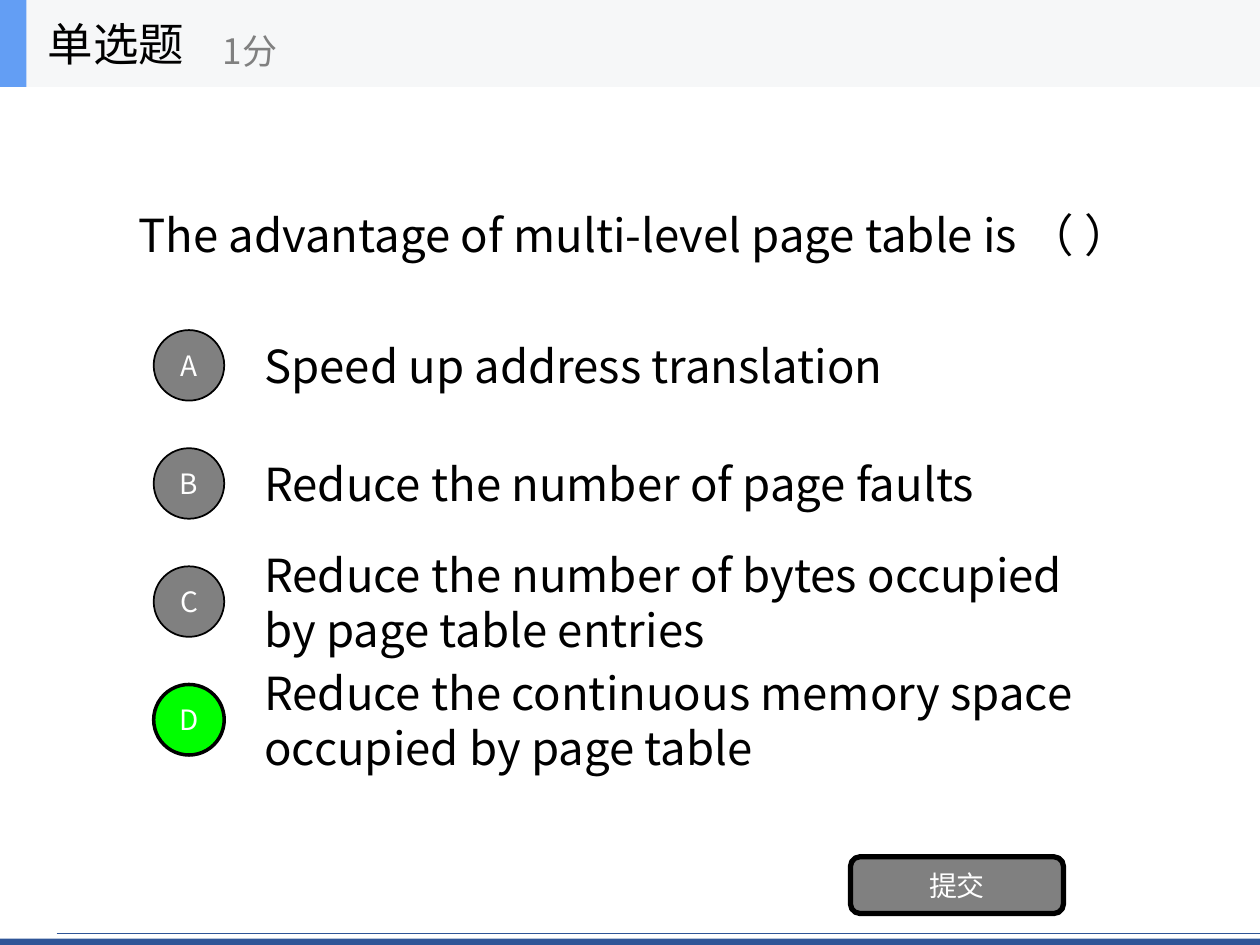
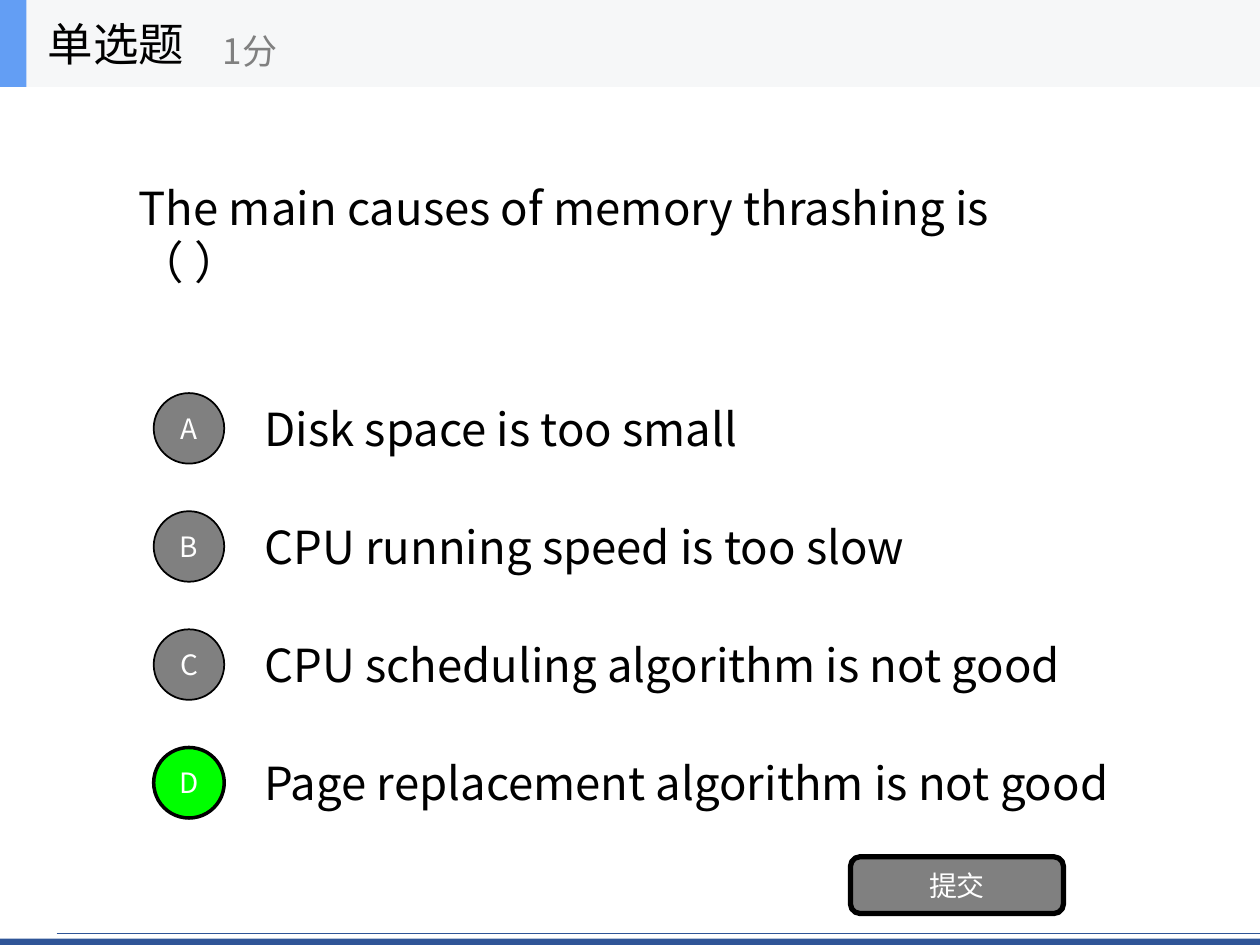
from dataclasses import dataclass

from pptx import Presentation
from pptx.dml.color import RGBColor
from pptx.enum import shapes as kinds, text as txt
from pptx.oxml import ns
from pptx.util import Inches, Pt
from lxml import etree


@dataclass(frozen=True)
class Theme:
    font: str = "Noto Sans CJK SC"
    ink: str = "000000"
    light: str = "FFFFFF"
    grey: str = "808080"
    correct: str = "00FF00"
    header: str = "F6F7F8"
    accent: str = "639EF4"
    rule: str = "2F5597"
    body_size: int = 26
    points_size: int = 20
    button_size: int = 16


THEME = Theme()
LEFT, CENTER = txt.PP_ALIGN.LEFT, txt.PP_ALIGN.CENTER
OPTION_STEP, OPTION_HEIGHT, BADGE = 0.9375, 0.7, 0.56

QUESTIONS = [
    {
        "question": "The advantage of multi-level page table is （ ）",
        "question_width": 8.37,
        "options": [
            "Speed up address translation",
            "Reduce the number of page faults",
            "Reduce the number of bytes occupied by page table entries",
            "Reduce the continuous memory space occupied by page table",
        ],
        "options_top": 2.55,
        "last_width": 7,
        "answer": "D",
    },
    {
        "question": "The main causes of memory thrashing is （ ）",
        "question_width": 7.6,
        "options": [
            "Disk space is too small",
            "CPU running speed is too slow",
            "CPU scheduling algorithm is not good",
            "Page replacement algorithm is not good",
        ],
        "options_top": 3.05,
        "last_width": 7.27,
        "answer": "D",
    },
]


def rgb(value):
    return RGBColor.from_string(value)


def inches(box):
    return [Inches(length) for length in box]


def write(shape, words, size=THEME.body_size, color=THEME.ink, align=LEFT):
    """Fill a shape with one middle-anchored paragraph."""
    frame = shape.text_frame
    settings = {
        "word_wrap": True,
        "auto_size": txt.MSO_AUTO_SIZE.NONE,
        "vertical_anchor": txt.MSO_ANCHOR.MIDDLE,
    }
    for name, value in settings.items():
        setattr(frame, name, value)
    paragraph = frame.paragraphs[0]
    paragraph.alignment = align
    run = paragraph.add_run()
    run.text = words
    run.font.size = Pt(size)
    run.font.color.rgb = rgb(color)
    run.font.name = THEME.font
    east_asian = etree.SubElement(run.font._element, ns.qn("a:ea"))
    east_asian.set("typeface", THEME.font)


def add_label(parts, box, words, **style):
    write(parts.add_textbox(*inches(box)), words, **style)


def add_block(parts, kind, box, fill, outline=0):
    block = parts.add_shape(kind, *inches(box))
    block.shadow.inherit = False
    block.fill.solid()
    block.fill.fore_color.rgb = rgb(fill)
    if outline:
        block.line.color.rgb = rgb(THEME.ink)
        block.line.width = Pt(outline)
    else:
        block.line.fill.background()
    return block


def add_button(parts, kind, box, words, fill, outline):
    button = add_block(parts, kind, box, fill, outline)
    write(button, words, THEME.button_size, THEME.light, CENTER)


def add_footer(slide, left, top, right, bottom):
    """Thin rule above a full-width band."""
    band_top = top + 0.04
    add_block(slide.shapes, kinds.MSO_SHAPE.RECTANGLE,
              (0, band_top, right, bottom - band_top), THEME.rule)
    rule = slide.shapes.add_connector(
        kinds.MSO_CONNECTOR.STRAIGHT, *inches((left, top, right, top)))
    rule.line.color.rgb = rgb(THEME.rule)
    rule.line.width = Pt(0.5)
    etree.SubElement(rule._element.spPr, ns.qn("a:effectLst"))


def add_header(slide, width, height):
    """Question type and its points on a tinted bar."""
    parts = slide.shapes.add_group_shape().shapes
    for bar_width, fill in ((width, THEME.header), (0.21, THEME.accent)):
        add_block(parts, kinds.MSO_SHAPE.RECTANGLE,
                  (0, 0, bar_width, height), fill)
    add_label(parts, (0.28, 0, 2.08, height), "单选题")
    add_label(parts, (1.67, 0.12, 2.5, height - 0.13), "1分",
              size=THEME.points_size, color=THEME.grey)


def add_options(slide, left, top, options, answer, last_width):
    """Lettered badges with their answers, the right one highlighted."""
    inset = (OPTION_HEIGHT - BADGE) / 2
    for index, (letter, option) in enumerate(zip("ABCD", options)):
        row_top = top + index * OPTION_STEP
        width = last_width if option == options[-1] else 7
        add_label(slide.shapes, (left + 0.78, row_top, width, OPTION_HEIGHT),
                  option)
        fill, outline = ((THEME.correct, 2) if letter == answer
                         else (THEME.grey, 1))
        add_button(slide.shapes, kinds.MSO_SHAPE.OVAL,
                   (left, row_top + inset, BADGE, BADGE),
                   letter, fill, outline)


def place_question(slide, box, words):
    title = slide.shapes.title
    for side, length in zip(("left", "top", "width", "height"), inches(box)):
        setattr(title, side, length)
    write(title, words)


def add_question_slide(deck, content):
    slide = deck.slides.add_slide(deck.slide_layouts.get_by_name("Title Only"))
    place_question(slide, (1, 0.69, content["question_width"], 2.34),
                   content["question"])
    add_footer(slide, 0.45, 7.41, 10, 7.5)
    add_options(slide, 1.22, content["options_top"], content["options"],
                content["answer"], content["last_width"])
    add_button(slide.shapes, kinds.MSO_SHAPE.ROUNDED_RECTANGLE,
               (6.75, 6.8, 1.69, 0.45), "提交", THEME.grey, 3)
    add_header(slide, 10, 0.69)


def main():
    deck = Presentation()
    deck.slide_width, deck.slide_height = Inches(10), Inches(7.5)
    for content in QUESTIONS:
        add_question_slide(deck, content)
    deck.save("out.pptx")


if __name__ == "__main__":
    main()
